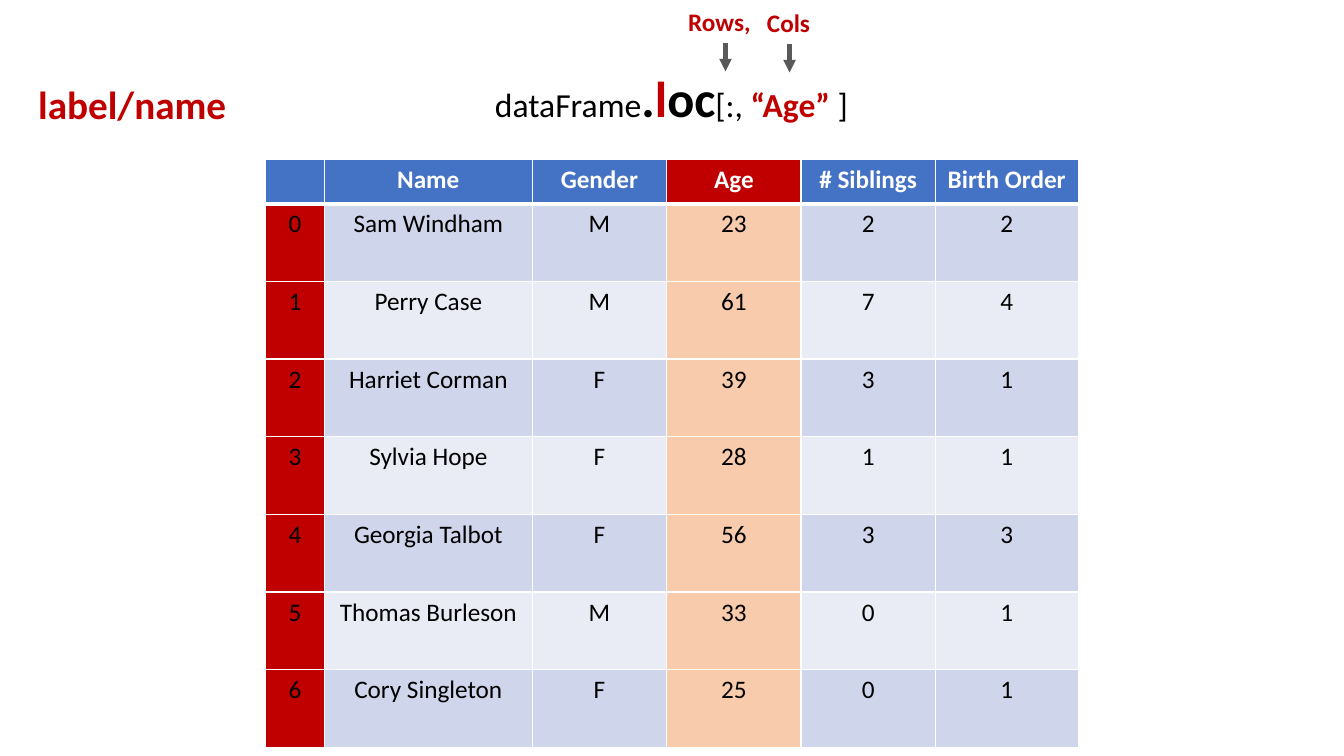
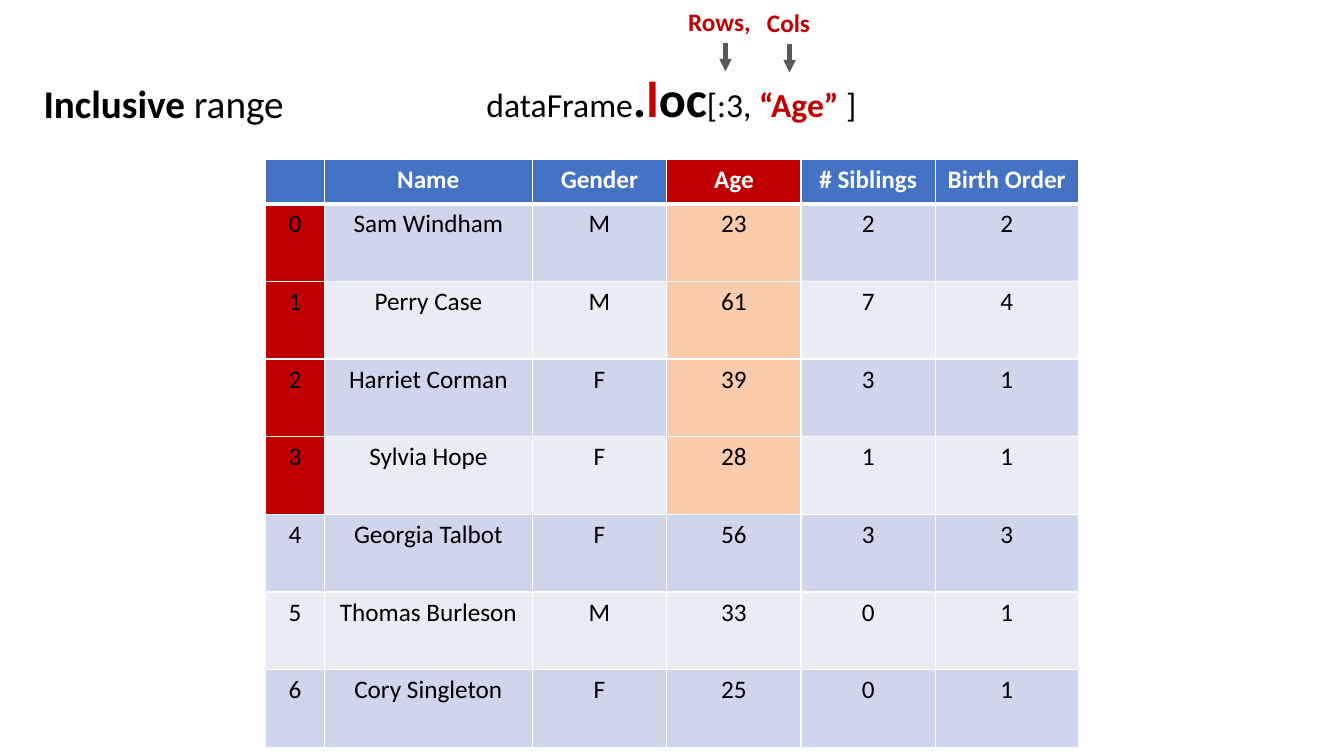
from pptx import Presentation
from pptx.dml.color import RGBColor
from pptx.enum.shapes import MSO_CONNECTOR
from pptx.enum.text import MSO_ANCHOR, MSO_AUTO_SIZE, PP_ALIGN
from pptx.oxml.ns import qn
from pptx.util import Emu, Pt
from lxml.etree import SubElement

PX = 9525  # EMU in one px, 96 px to the inch
FONT = "Calibri"
RED = RGBColor(0xC0, 0x00, 0x00)
BLACK = RGBColor(0x00, 0x00, 0x00)
WHITE = RGBColor(0xFF, 0xFF, 0xFF)
BLUE = RGBColor(0x44, 0x72, 0xC4)
PEACH = RGBColor(0xF8, 0xCB, 0xAD)
GREY = RGBColor(0x59, 0x59, 0x59)
BANDS = (RGBColor(0xCF, 0xD5, 0xEA), RGBColor(0xE9, 0xEB, 0xF5))

# Content: a run is (text, size, colour, bold)
HEAD = ["", "Name", "Gender", "Age", "# Siblings", "Birth Order"]
PEOPLE = [
    ("Sam Windham", "M", 23, 2, 2),
    ("Perry Case", "M", 61, 7, 4),
    ("Harriet Corman", "F", 39, 3, 1),
    ("Sylvia Hope", "F", 28, 1, 1),
    ("Georgia Talbot", "F", 56, 3, 3),
    ("Thomas Burleson", "M", 33, 0, 1),
    ("Cory Singleton", "F", 25, 0, 1),
]
SLIDES = [
    {"rows": ":", "picked": 7, "box": (27, 72, 270, 55),
     "label": [("label/name", 28, RED, True)]},
    {"rows": ":3", "picked": 4, "box": (32, 71, 251, 55),
     "label": [("Inclusive", 28, BLACK, True), (" range", 28, BLACK, False)]},
]
HINTS = [  # text, its box, arrow x and top
    ("Rows,", (646, 1, 84, 38), 691, 41),
    ("Cols", (721, 2, 73, 38), 752, 42),
]

# Layout in px
TITLE = (429, 59, 421, 68)
LEFT, TOP = 253, 152
COLS = [56, 198, 128, 128, 128, 136]
HEAD_H, ROW_H = 42, 74
ARROW = 27
KEY = HEAD.index("Age")


def px(*nums):
    return [Emu(n * PX) for n in nums]


def write(frame, runs, align=PP_ALIGN.LEFT):
    para = frame.paragraphs[0]
    para.alignment = align
    para.line_spacing = 1.0
    for text, size, color, bold in runs:
        run = para.add_run()
        run.text = text
        font = run.font
        font.name, font.size, font.bold = FONT, Pt(size), bold
        font.color.rgb = color


def add_text(slide, box, runs):
    frame = slide.shapes.add_textbox(*px(*box)).text_frame
    frame.word_wrap = True
    write(frame, runs)


def set_title(slide, rows):
    title = slide.shapes.title
    title.left, title.top, title.width, title.height = px(*TITLE)
    frame = title.text_frame
    frame.auto_size = MSO_AUTO_SIZE.NONE
    frame.vertical_anchor = MSO_ANCHOR.TOP
    write(frame, [
        ("dataFrame", 24, BLACK, False),
        (".", 36, BLACK, True),
        ("l", 36, RED, True),
        ("oc", 36, BLACK, True),
        (f"[{rows}, ", 24, BLACK, False),
        ("“Age”", 24, RED, True),
        (" ]", 24, BLACK, False),
    ], PP_ALIGN.CENTER)


def add_arrow(slide, x, top):
    line = slide.shapes.add_connector(
        MSO_CONNECTOR.STRAIGHT, *px(x, top, x, top + ARROW))
    line.line.color.rgb = GREY
    line.line.width = Pt(3)
    SubElement(line.line._get_or_add_ln(), qn("a:tailEnd"), type="triangle")
    SubElement(line._element.spPr, qn("a:effectLst"))


def add_edges(cell, row):
    # The rule between the header and the body is thicker
    thick = {0: "lnB", 1: "lnT"}.get(row)
    props = cell._tc.get_or_add_tcPr()
    for side in ("lnL", "lnR", "lnT", "lnB"):
        width = Pt(3 if side == thick else 1)
        edge = SubElement(props, qn("a:" + side), w=str(width))
        fill = SubElement(edge, qn("a:solidFill"))
        SubElement(fill, qn("a:srgbClr"), val=str(WHITE))


def pick_fill(row, col, picked):
    if row == 0:
        return RED if col == KEY else BLUE
    if row <= picked and col in (0, KEY):
        return PEACH if col else RED
    return BANDS[(row - 1) % 2]


def add_grid(slide, picked):
    data = [HEAD] + [(num, *who) for num, who in enumerate(PEOPLE)]
    highs = [HEAD_H] + [ROW_H] * len(PEOPLE)
    table = slide.shapes.add_table(
        len(data), len(COLS), *px(LEFT, TOP, sum(COLS), sum(highs))).table
    for col, width in zip(table.columns, px(*COLS)):
        col.width = width
    for row, height in zip(table.rows, px(*highs)):
        row.height = height
    for r, vals in enumerate(data):
        for c, val in enumerate(vals):
            cell = table.cell(r, c)
            add_edges(cell, r)
            cell.fill.solid()
            cell.fill.fore_color.rgb = pick_fill(r, c, picked)
            if val != "":
                ink = BLACK if r else WHITE
                write(cell.text_frame, [(str(val), 18, ink, r == 0)],
                      PP_ALIGN.CENTER)


def main():
    deck = Presentation()
    deck.slide_width, deck.slide_height = px(1280, 720)
    for page in SLIDES:
        slide = deck.slides.add_slide(deck.slide_layouts[5])
        set_title(slide, page["rows"])
        add_grid(slide, page["picked"])
        add_text(slide, page["box"], page["label"])
        for text, box, x, top in HINTS:
            add_text(slide, box, [(text, 18, RED, True)])
            add_arrow(slide, x, top)
    deck.save("out.pptx")


if __name__ == "__main__":
    main()
